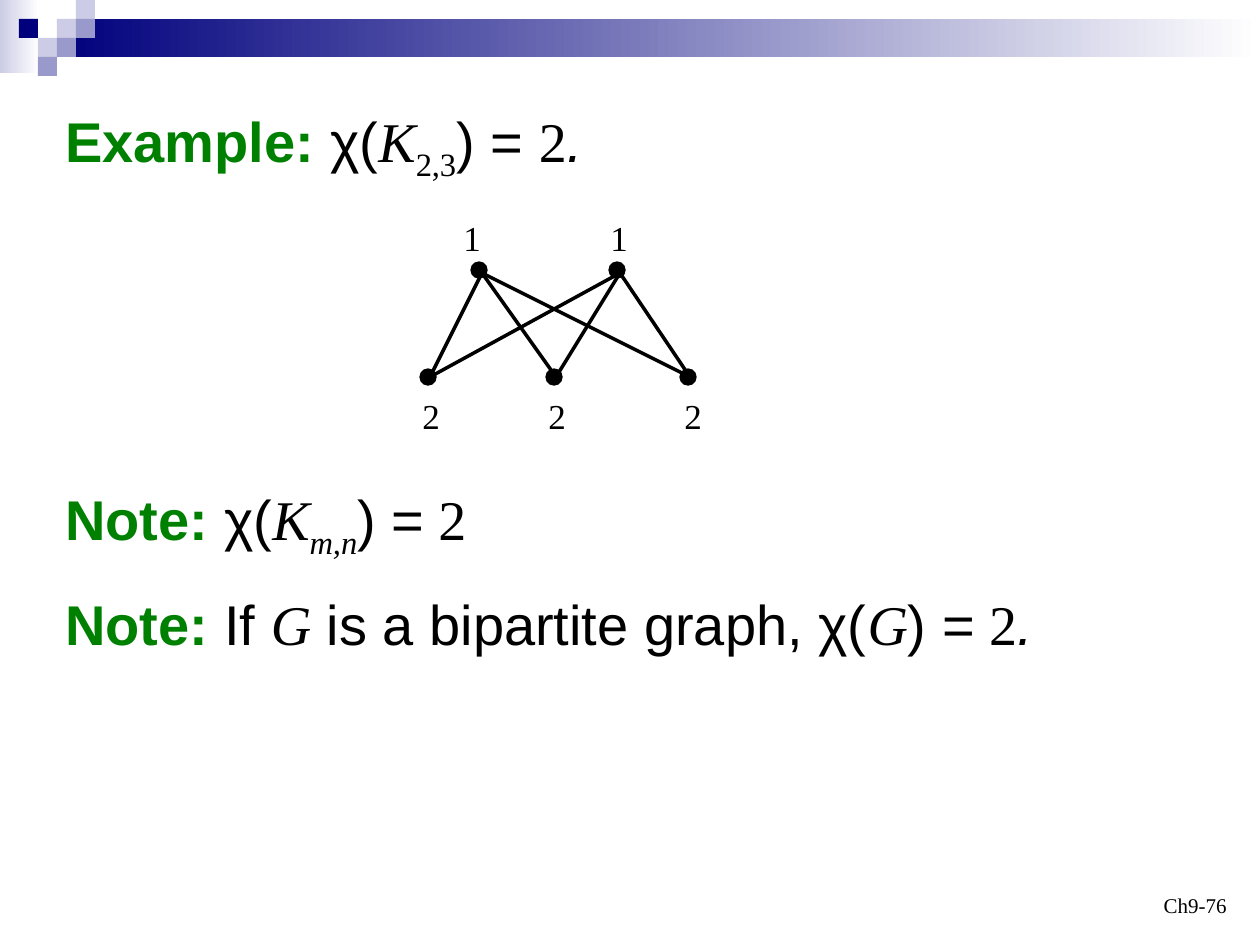
from itertools import product

from pptx import Presentation
from pptx.dml.color import RGBColor
from pptx.enum.shapes import MSO_CONNECTOR as Connector, MSO_SHAPE as Shape
from pptx.enum.text import MSO_ANCHOR as Anchor, PP_ALIGN as Align
from pptx.oxml.ns import qn
from pptx.util import Emu, Pt

COLORS = {"navy": "00007D", "violet": "9999CC", "lilac": "CCCCE6",
          "white": "FFFFFF", "green": "008000", "black": "000000"}
SANS, SERIF = "Arial", "Times New Roman"

HEADING = {"name": SANS, "bold": True, "color": "green"}
PLAIN = {"name": SANS}
SLANTED = {"name": SANS, "italic": True}
NUMBER = {"name": SERIF}
SYMBOL = {"name": SERIF, "italic": True}
INDEX = {"name": SERIF, "baseline": "-25000"}
SYMBOL_INDEX = {**INDEX, "italic": True}

STATEMENTS = [
    (94, [("Example: ", HEADING), ("χ(", PLAIN), ("K", SYMBOL), ("2,3", INDEX),
          (") = ", PLAIN), ("2", NUMBER), (".", SLANTED)]),
    (472, [("Note: ", HEADING), ("χ(", PLAIN), ("K", SYMBOL),
           ("m,n", SYMBOL_INDEX), (") =", PLAIN), (" 2", NUMBER)]),
    (577, [("Note:", HEADING), (" If ", PLAIN), ("G", SYMBOL),
           (" is a bipartite graph, χ(", PLAIN), ("G", SYMBOL),
           (") =", PLAIN), (" 2", NUMBER), (".", SLANTED)]),
]


def px(length):
    return Emu(round(length * 914400 / 126))


def rgb(color):
    return RGBColor.from_string(COLORS[color])


def add_runs(paragraph, pieces, size):
    for wording, style in pieces:
        run = paragraph.add_run()
        run.text = wording
        font_values = {"size": Pt(size), "bold": False, "italic": False, **style}
        run.font.color.rgb = rgb(font_values.pop("color", "black"))
        baseline = font_values.pop("baseline", None)
        if baseline:
            run.font._element.set("baseline", baseline)
        for attribute, value in font_values.items():
            setattr(run.font, attribute, value)


def add_text(slide, box, pieces, size, **frame_values):
    frame = slide.shapes.add_textbox(*map(px, box)).text_frame
    for attribute, value in {"word_wrap": True, **frame_values}.items():
        setattr(frame, attribute, value)
    paragraph = frame.paragraphs[0]
    add_runs(paragraph, pieces, size)
    return paragraph


def add_block(slide, box, color, fade_to=None, kind=Shape.RECTANGLE):
    block = slide.shapes.add_shape(kind, *map(px, box))
    block.shadow.inherit = False
    block.line.fill.background()
    if fade_to:
        block.fill.gradient()
        block.fill.gradient_angle = 0
        for stop, shade, position in zip(block.fill.gradient_stops,
                                         (color, fade_to), (0, 1)):
            stop.color.rgb = rgb(shade)
            stop.position = position
    else:
        block.fill.solid()
        block.fill.fore_color.rgb = rgb(color)
    return block


def add_banner(slide, left, top, width):
    cell = 19
    add_block(slide, (left, top, 39, 73), "lilac", "white")
    add_block(slide, (left + 3 * cell, top + cell, width - 3 * cell, 2 * cell),
              "navy", "white")
    for column, row, color in [(3, 1, "lilac"), (4, 0, "lilac"), (4, 1, "violet"),
                               (2, 2, "lilac"), (1, 1, "navy"), (3, 2, "violet"),
                               (2, 3, "violet")]:
        add_block(slide, (left + column * cell, top + row * cell, cell, cell), color)


def add_edge(slide, start, end):
    edge = slide.shapes.add_connector(Connector.STRAIGHT, *map(px, start + end))
    edge.line.color.rgb = rgb("black")
    edge.line.width = Pt(2)
    properties = edge._element.spPr
    properties.append(properties.makeelement(qn("a:effectLst"), {}))


def add_vertex(slide, x, y, label, label_left, label_top):
    dot = 16
    vertex = add_block(slide, (x - dot / 2, y - dot / 2, dot, dot), "black",
                       kind=Shape.FLOWCHART_CONNECTOR)
    vertex.line.color.rgb = rgb("black")
    vertex.line.width = Pt(0.75)
    add_text(slide, (label_left, label_top, 43, 54), [(label, NUMBER)], 20)


def add_bipartite_graph(slide, left, top):
    upper_y, lower_y = top + 60, top + 167
    upper = [(left + 69, left + 41), (left + 207, left + 188)]
    lower = [(left + 18, left), (left + 144, left + 126), (left + 278, left + 262)]
    for (upper_x, _), (lower_x, _) in product(upper, lower):
        add_edge(slide, (upper_x + 3, upper_y + 3), (lower_x + 2, lower_y))
    for x, label_left in upper:
        add_vertex(slide, x, upper_y, "1", label_left, top)
    for x, label_left in lower:
        add_vertex(slide, x, lower_y, "2", label_left, top + 178)


def add_statement(slide, left, top, width, pieces):
    paragraph = add_text(slide, (left, top, width, 84), pieces, 32,
                         margin_top=px(12))
    for attribute, value in {"marL": px(48), "indent": px(-48)}.items():
        paragraph._p.get_or_add_pPr().set(attribute, str(int(value)))


def add_page_number(slide, left, top):
    paragraph = add_text(slide, (left, top, 294, 63), [("Ch9-76", NUMBER)], 12,
                         vertical_anchor=Anchor.BOTTOM)
    paragraph.alignment = Align.RIGHT


def main():
    deck = Presentation()
    deck.slide_width, deck.slide_height = px(1260), px(945)
    slide = deck.slides.add_slide(deck.slide_layouts[6])
    add_banner(slide, 0, 0, 1260)
    add_page_number(slide, 945, 861)
    add_bipartite_graph(slide, 410, 210)
    for top, pieces in STATEMENTS:
        add_statement(slide, 53, top, 1131, pieces)
    deck.save("out.pptx")


if __name__ == "__main__":
    main()
